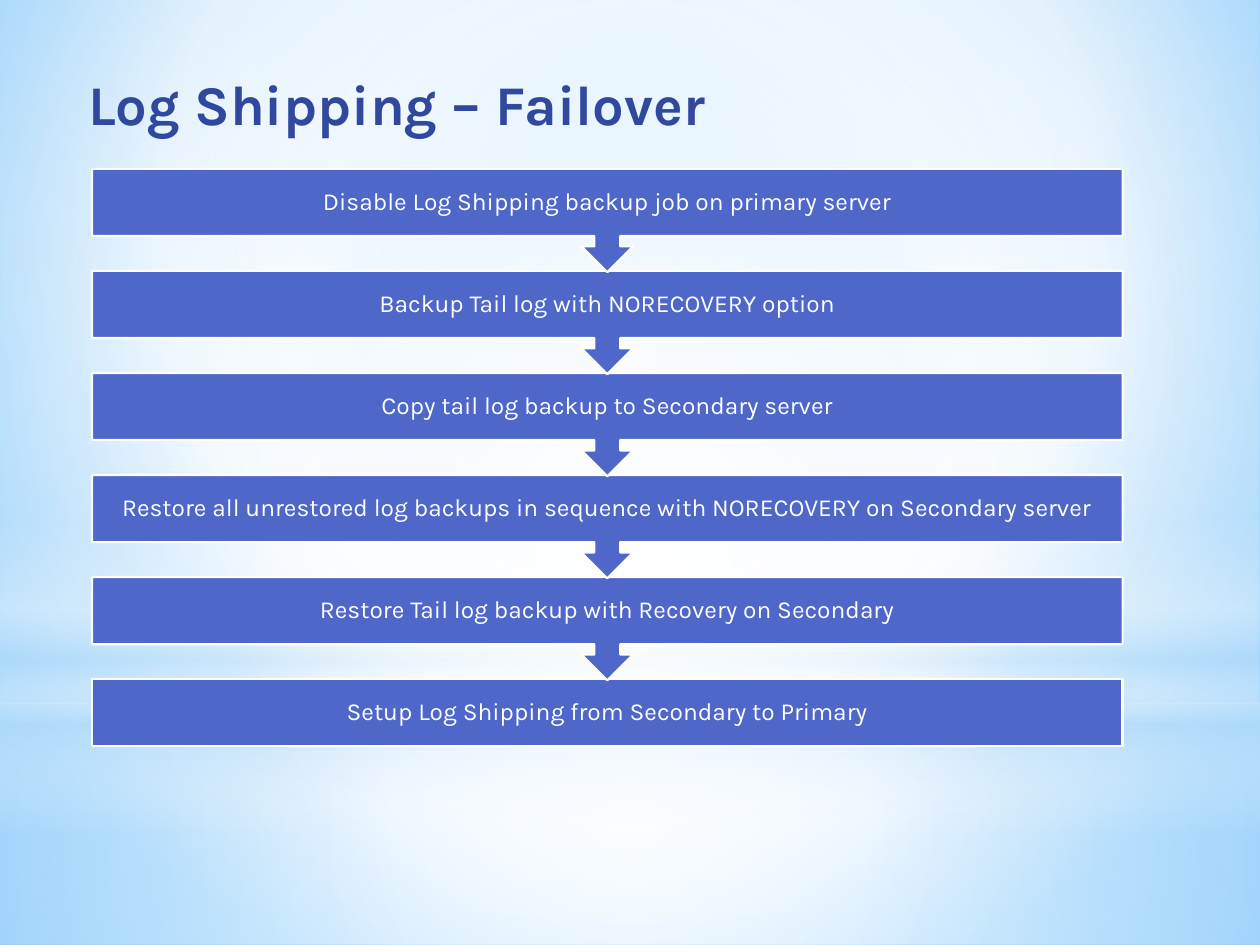
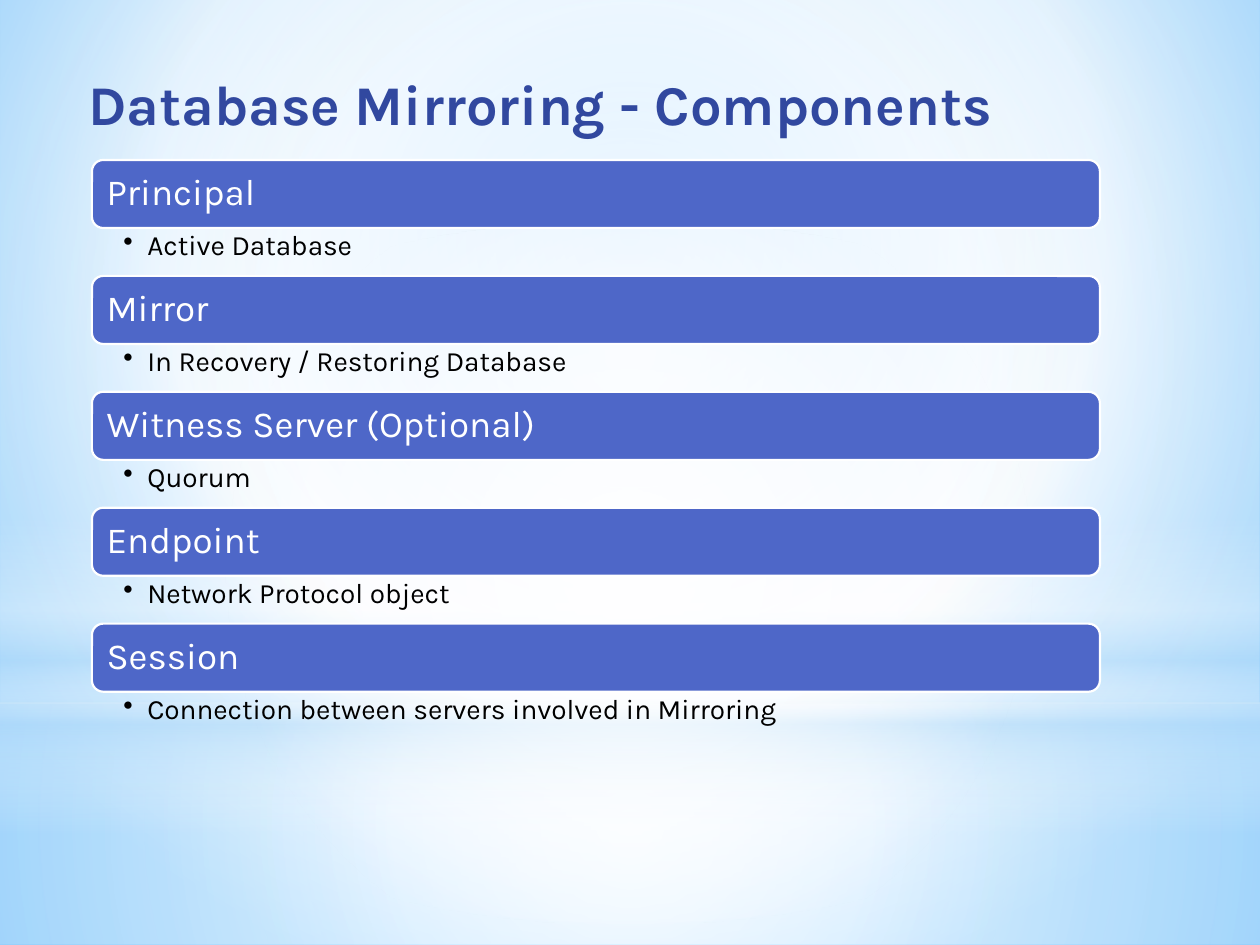
from pptx import Presentation
from pptx.dml.color import RGBColor
from pptx.enum.shapes import MSO_SHAPE as Preset
from pptx.enum.text import MSO_ANCHOR as Anchor, MSO_AUTO_SIZE as AutoSize, PP_ALIGN as Align
from pptx.oxml import parse_xml
from pptx.oxml.ns import nsdecls, qn
from pptx.util import Inches, Pt

FONT = "Karla"
TITLE_BLUE, BAR_BLUE, PALE_BLUE = "31489F", "4E67C8", "B4DCFA"
WHITE, BLACK = "FFFFFF", "000000"
TITLE_ONLY = 5
BAR_LEFT = 0.73
CENTER = (50, 50, 50, 50)

FAILOVER_STEPS = [
    "Disable Log Shipping backup job on primary server",
    "Backup Tail log with NORECOVERY option",
    "Copy tail log backup to Secondary server",
    "Restore all unrestored log backups in sequence with NORECOVERY on Secondary server",
    "Restore Tail log backup with Recovery on Secondary",
    "Setup Log Shipping from Secondary to Primary",
]
COMPONENTS = [
    ("Principal", "Active Database"),
    ("Mirror", "In Recovery / Restoring Database"),
    ("Witness Server (Optional)", "Quorum"),
    ("Endpoint", "Network Protocol object"),
    ("Session", "Connection between servers involved in Mirroring"),
]

# Backdrop layers: preset, top, height, stops (position, colour, opacity), focus
LAYERS = [
    (Preset.RECTANGLE, 5.58, 1.92,
     [(0, WHITE, 91), (37, WHITE, 76), (100, PALE_BLUE, 79)], CENTER),
    (Preset.RECTANGLE, 0, 5.58,
     [(0, WHITE, 89), (48, WHITE, 62), (100, PALE_BLUE, 79)], CENTER),
    (Preset.RECTANGLE, 4.12, 2.5,
     [(0, WHITE, 0), (29, WHITE, 30), (45, PALE_BLUE, 40),
      (55, WHITE, 26), (65, PALE_BLUE, 60), (100, WHITE, 0)], None),
    (Preset.OVAL, 1.75, 5.58, [(0, WHITE, 100), (56, WHITE, 0)], CENTER),
]


def rgb(value):
    return RGBColor.from_string(value)


def set_gradient(fill, parent, stops, focus):
    """Radial gradient around focus, or a vertical one without it."""
    stop_xml = "".join(
        f'<a:gs pos="{position * 1000}"><a:srgbClr val="{color}">'
        f'<a:alpha val="{opacity * 1000}"/></a:srgbClr></a:gs>'
        for position, color, opacity in stops)
    if focus:
        left, top, right, bottom = (side * 1000 for side in focus)
        direction = (f'<a:path path="circle"><a:fillToRect l="{left}" t="{top}" '
                     f'r="{right}" b="{bottom}"/></a:path>')
    else:
        direction = '<a:lin ang="5400000" scaled="0"/>'
    gradient = parse_xml(f'<a:gradFill {nsdecls("a")} rotWithShape="1">'
                         f'<a:gsLst>{stop_xml}</a:gsLst>{direction}</a:gradFill>')
    fill.solid()
    parent.replace(parent.find(qn("a:solidFill")), gradient)


def add_shape(slide, preset, left, top, width, height):
    shape = slide.shapes.add_shape(
        preset, Inches(left), Inches(top), Inches(width), Inches(height))
    shape.shadow.inherit = False
    return shape


def build_backdrop(presentation, slide):
    """Set the master background and move the glow layers onto the master."""
    master = presentation.slide_master
    fill = master.background.fill
    background = master.element.cSld.find(qn("p:bg")).find(qn("p:bgPr"))
    set_gradient(fill, background,
                 [(0, "9ED5FF", 100), (60, WHITE, 100), (100, "5BB9FF", 100)],
                 (20, 10, 20, 60))
    for index, (preset, top, height, stops, focus) in enumerate(LAYERS):
        layer = add_shape(slide, preset, 0, top, 10, height)
        layer.line.fill.background()
        set_gradient(layer.fill, layer.element.spPr, stops, focus)
        layer.element.nvSpPr.cNvPr.set("id", str(100 + index))
        master.element.cSld.spTree.insert(2 + index, layer.element)


def write_text(shape, text, size, color, bold=False, align=Align.LEFT,
               anchor=Anchor.MIDDLE, insets=(0.1, 0.05, 0.1, 0.05),
               line_spacing=0.9, bullet=False):
    frame = shape.text_frame
    frame.word_wrap = True
    frame.auto_size = AutoSize.NONE
    frame.vertical_anchor = anchor
    (frame.margin_left, frame.margin_top,
     frame.margin_right, frame.margin_bottom) = map(Inches, insets)
    paragraph = frame.paragraphs[0]
    paragraph.text = text
    paragraph.alignment = align
    paragraph.line_spacing = line_spacing
    paragraph.space_before = Pt(0)
    if bullet:
        properties = paragraph._p.get_or_add_pPr()
        properties.set("marL", str(Inches(0.19)))
        properties.set("indent", str(-Inches(0.19)))
        properties.append(parse_xml(f'<a:buChar {nsdecls("a")} char="•"/>'))
    font = paragraph.runs[0].font
    font.name, font.size, font.bold = FONT, Pt(size), bold
    font.color.rgb = rgb(color)


def add_titled_slide(presentation, text):
    slide = presentation.slides.add_slide(presentation.slide_layouts[TITLE_ONLY])
    title = slide.shapes.title
    title.left, title.top = Inches(0.6), Inches(0.5)
    title.width, title.height = Inches(8.42), Inches(0.64)
    write_text(title, text, 32, TITLE_BLUE, bold=True, anchor=Anchor.TOP,
               line_spacing=1.0)
    return slide


def add_bar(slide, preset, top, width, height, text, size, **text_format):
    bar = add_shape(slide, preset, BAR_LEFT, top, width, height)
    bar.fill.solid()
    bar.fill.fore_color.rgb = rgb(BAR_BLUE)
    bar.line.color.rgb = rgb(WHITE)
    bar.line.width = Pt(1.25)
    write_text(bar, text, size, WHITE, **text_format)


def add_failover_flow(slide):
    """Stack the steps bottom-up so each arrow lies over the next bar."""
    last = len(FAILOVER_STEPS) - 1
    for index in range(last, -1, -1):
        preset, height = ((Preset.RECTANGLE, 0.53) if index == last
                          else (Preset.DOWN_ARROW_CALLOUT, 0.82))
        add_bar(slide, preset, 1.34 + index * 0.81, 8.18, height,
                FAILOVER_STEPS[index], 14, align=Align.CENTER, insets=(0.11,) * 4)


def add_component_list(slide):
    bar_height, detail_height = 0.54, 0.38
    for index, (name, detail) in enumerate(COMPONENTS):
        top = 1.27 + index * 0.92
        add_bar(slide, Preset.ROUNDED_RECTANGLE, top, 8, bar_height, name, 21,
                insets=(0.09,) * 4)
        box = slide.shapes.add_textbox(Inches(BAR_LEFT), Inches(top + bar_height),
                                       Inches(8), Inches(detail_height))
        write_text(box, detail, 16, BLACK, anchor=Anchor.TOP,
                   insets=(0.25, 0.03, 0.16, 0.03), bullet=True)


def main():
    presentation = Presentation()
    presentation.slide_width, presentation.slide_height = Inches(10), Inches(7.5)

    failover = add_titled_slide(presentation, "Log Shipping – Failover")
    build_backdrop(presentation, failover)
    add_failover_flow(failover)

    components = add_titled_slide(presentation, "Database Mirroring - Components")
    add_component_list(components)

    presentation.save("out.pptx")


if __name__ == "__main__":
    main()
